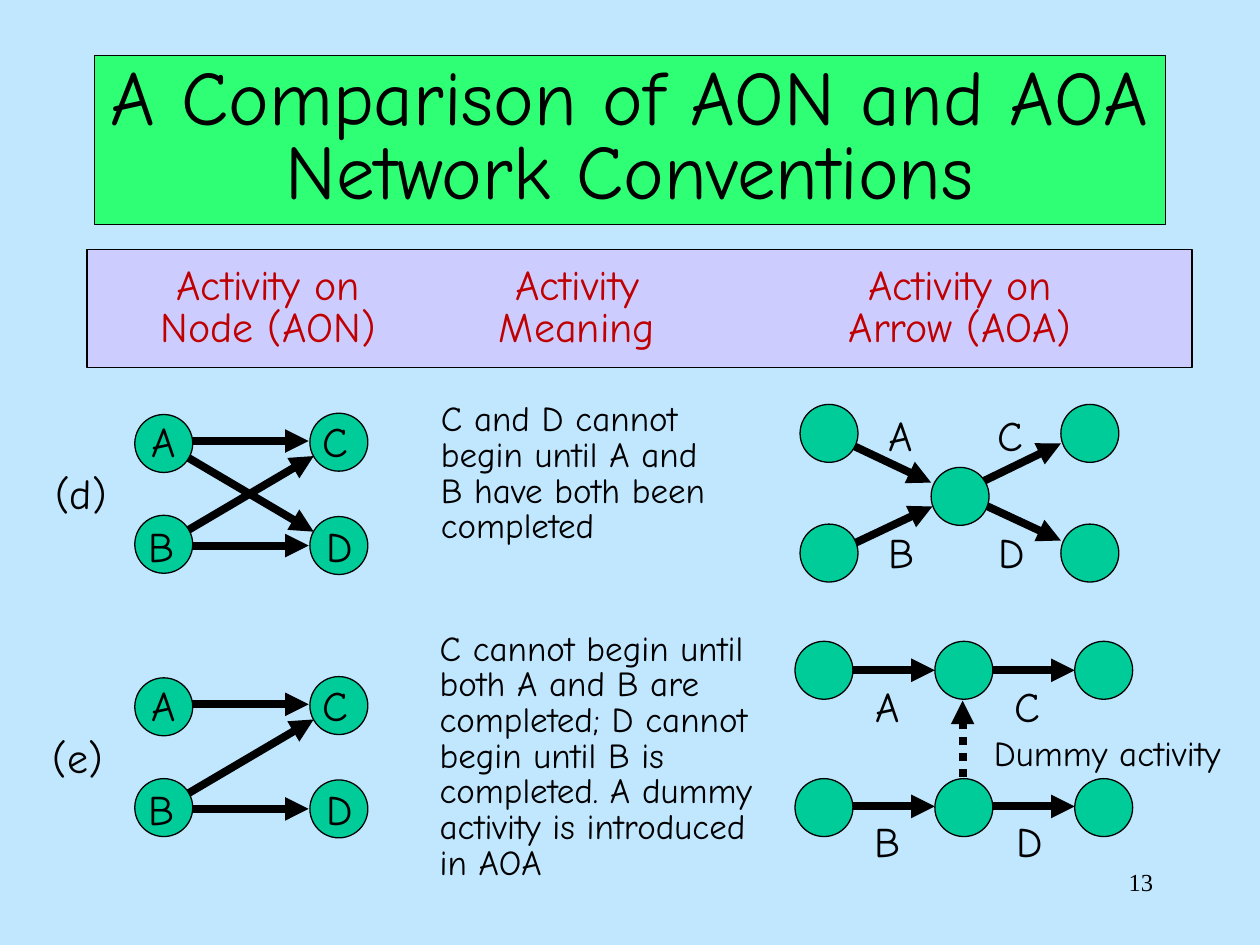
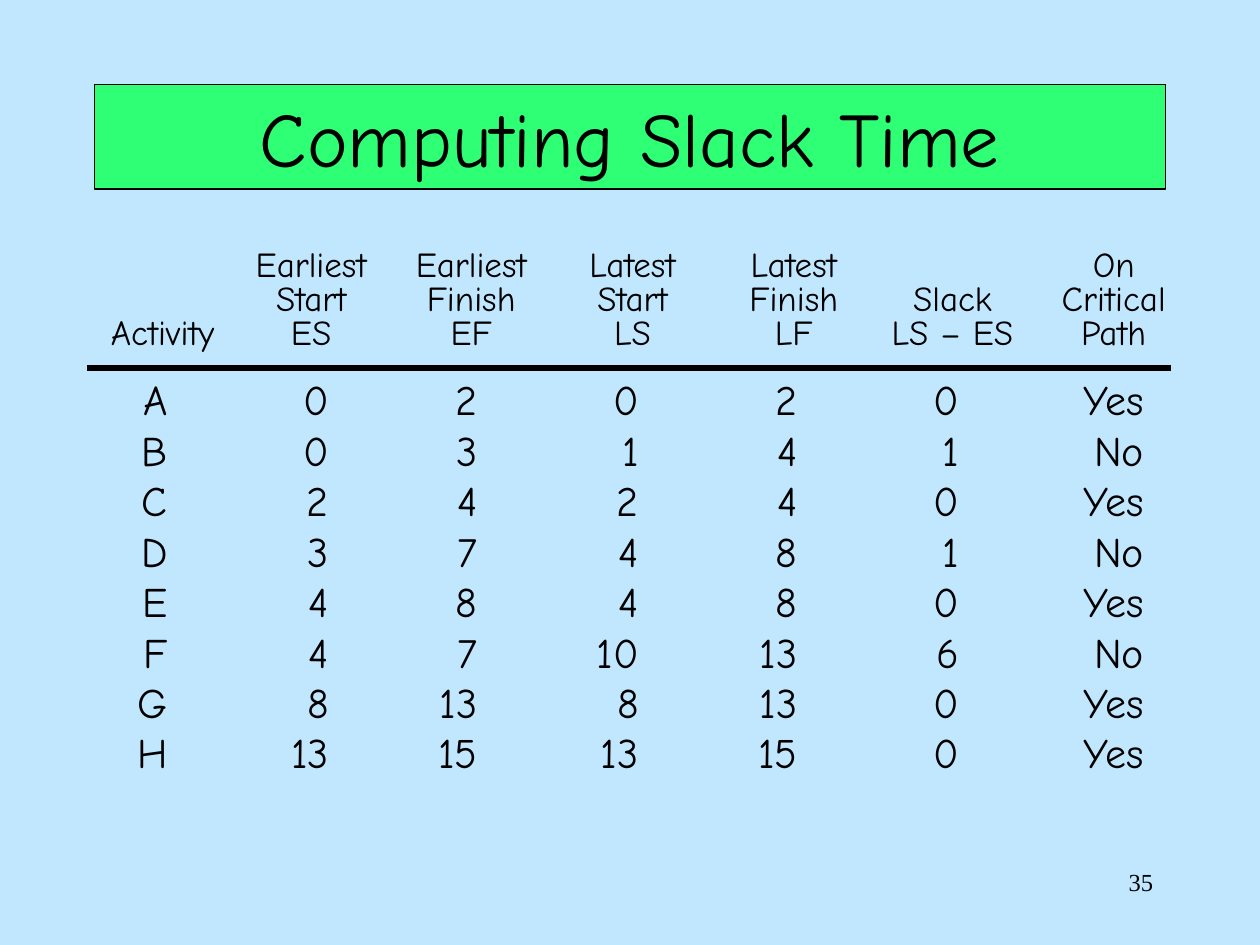
from dataclasses import dataclass

from lxml.etree import SubElement
from pptx import Presentation
from pptx.dml.color import RGBColor
from pptx.enum.dml import MSO_LINE
from pptx.enum.shapes import MSO_CONNECTOR, MSO_SHAPE
from pptx.enum.text import MSO_ANCHOR, MSO_AUTO_SIZE, PP_ALIGN
from pptx.oxml.ns import qn
from pptx.util import Pt

PX = 9144


@dataclass(frozen=True)
class Theme:
    sky: RGBColor = RGBColor(0xC1, 0xE7, 0xFF)
    green: RGBColor = RGBColor(0x2F, 0xFF, 0x74)
    teal: RGBColor = RGBColor(0x00, 0xCC, 0x99)
    lilac: RGBColor = RGBColor(0xCC, 0xCC, 0xFF)
    red: RGBColor = RGBColor(0xC0, 0x00, 0x00)
    black: RGBColor = RGBColor(0x00, 0x00, 0x00)
    font: str = "Comic Neue"
    serif: str = "Times New Roman"
    head: int = 44
    large: int = 24
    small: int = 20
    page: int = 14
    thin: float = 0.75
    rule: float = 3
    arrow: float = 4.5


theme = Theme()


def write(frame, lines, size, color=theme.black, font=theme.font,
          align=PP_ALIGN.LEFT, space=None):
    for i, line in enumerate(lines):
        para = frame.paragraphs[0] if i == 0 else frame.add_paragraph()
        para.alignment = align
        para.line_spacing = space
        run = para.add_run()
        run.text = line
        run.font.name = font
        run.font.size = Pt(size)
        run.font.color.rgb = color


def stroke(slide, ends, width, tip=False):
    line = slide.shapes.add_connector(MSO_CONNECTOR.STRAIGHT, *[v * PX for v in ends])
    line.line.color.rgb = theme.black
    line.line.width = Pt(width)
    props = line._element.spPr
    SubElement(props, qn("a:effectLst"))
    if tip:
        SubElement(props.find(qn("a:ln")), qn("a:tailEnd"), type="triangle")
    return line


deck = Presentation()
deck.slide_width, deck.slide_height = 1000 * PX, 750 * PX
back = deck.slide_master.background.fill
back.solid()
back.fore_color.rgb = theme.sky

slides = []
for name, top, high, space, page in (
    ("A Comparison of AON and AOA Network Conventions", 44, 134, 0.8, "13"),
    ("Computing Slack Time", 67, 83, None, "35"),
):
    slide = deck.slides.add_slide(deck.slide_layouts[5])
    title = slide.shapes.title
    title.left, title.top, title.width, title.height = 75 * PX, top * PX, 850 * PX, high * PX
    title.fill.solid()
    title.fill.fore_color.rgb = theme.green
    title.line.color.rgb = theme.black
    title.line.width = Pt(theme.thin)
    title.text_frame.auto_size = MSO_AUTO_SIZE.NONE
    title.text_frame.vertical_anchor = MSO_ANCHOR.MIDDLE
    write(title.text_frame, [name], theme.head, align=PP_ALIGN.CENTER, space=space)
    foot = slide.shapes.add_textbox(717 * PX, 683 * PX, 208 * PX, 50 * PX)
    foot.text_frame.word_wrap = True
    write(foot.text_frame, [page], theme.page, font=theme.serif, align=PP_ALIGN.RIGHT)
    slides.append(slide)
nets, slack = slides

band = nets.shapes.add_shape(MSO_SHAPE.RECTANGLE, 69 * PX, 198 * PX, 877 * PX, 94 * PX)
band.shadow.inherit = False
band.fill.solid()
band.fill.fore_color.rgb = theme.lilac
band.line.color.rgb = theme.black
band.line.width = Pt(theme.thin)
frame = band.text_frame
frame.margin_left = frame.margin_right = 26 * PX
frame.margin_top = frame.margin_bottom = 13 * PX
frame.vertical_anchor = MSO_ANCHOR.TOP
write(frame, ["\tActivity on\tActivity\tActivity on", "\tNode (AON)\tMeaning\tArrow (AOA)"],
      theme.large, theme.red, space=0.85)
for para in frame.paragraphs:
    tabs = SubElement(para._p.get_or_add_pPr(), qn("a:tabLst"))
    for stop in (118, 363, 667):
        SubElement(tabs, qn("a:tab"), pos=str(stop * PX), algn="ctr")

lines = [
    (137, 356, 249, 422),
    (769, 395, 842, 429), (770, 387, 842, 352),
    (665, 348, 739, 383), (668, 436, 740, 402),
]
nodes = [(739, 371)]
nodes += [(x, y) for x in (635, 842) for y in (321, 416)]
nodes += [(x, y) for x in (631, 742, 853) for y in (509, 618)]
marks = [
    ("(d)", 34, 366, 61), ("(e)", 32, 576, 60),
    ("A", 695, 320, 40), ("B", 695, 413, 40), ("C", 782, 320, 40), ("D", 783, 413, 40),
    ("A", 685, 535, 40), ("B", 684, 642, 40), ("C", 795, 535, 40), ("D", 797, 642, 40),
]
for drop in (0, 209):
    lines += [(137, 428 + drop, 249, 362 + drop),
              (145, 350 + drop, 245, 350 + drop),
              (147, 433 + drop, 245, 433 + drop)]
    nodes += [(107, 329 + drop), (107, 409 + drop), (246, 328 + drop), (246, 410 + drop)]
    marks += [("A", 110, 325 + drop, 39), ("B", 108, 408 + drop, 40),
              ("C", 246, 325 + drop, 40), ("D", 249, 408 + drop, 41)]
for y in (532, 640):
    lines += [(x, y, x + 72, y) for x in (670, 781)]

for ends in lines:
    stroke(nets, ends, theme.arrow, True)
dummy = stroke(nets, (764, 629, 764, 556), theme.arrow, True)
dummy.line.dash_style = MSO_LINE.ROUND_DOT

for x, y in nodes:
    node = nets.shapes.add_shape(MSO_SHAPE.OVAL, x * PX, y * PX, 46 * PX, 46 * PX)
    node.shadow.inherit = False
    node.fill.solid()
    node.fill.fore_color.rgb = theme.teal
    node.line.color.rgb = theme.black
    node.line.width = Pt(theme.thin)

texts = [(mark, x, y, wide, 50, theme.large, False, None) for mark, x, y, wide in marks]
texts += [
    ("Dummy activity", 779, 576, 200, 44, theme.small, False, None),
    ("C and D cannot begin until A and B have both been completed",
     340, 315, 231, 124, theme.small, True, 0.85),
    ("C cannot begin until both A and B are completed; D cannot begin until B is "
     "completed. A dummy activity is introduced in AOA",
     339, 497, 269, 209, theme.small, True, 0.85),
]
for words, x, y, wide, high, size, wrap, space in texts:
    box = nets.shapes.add_textbox(x * PX, y * PX, wide * PX, high * PX)
    box.text_frame.word_wrap = wrap
    box.text_frame.auto_size = MSO_AUTO_SIZE.SHAPE_TO_FIT_TEXT
    write(box.text_frame, [words], size, space=space)

heads = [
    ["Activity"], ["Earliest", "Start", "ES"], ["Earliest", "Finish", "EF"],
    ["Latest", "Start", "LS"], ["Latest", "Finish", "LF"],
    ["Slack", "LS – ES"], ["On", "Critical", "Path"],
]
rows = [
    ("A", 0, 2, 0, 2, 0, "Yes"),
    ("B", 0, 3, 1, 4, 1, "No"),
    ("C", 2, 4, 2, 4, 0, "Yes"),
    ("D", 3, 7, 4, 8, 1, "No"),
    ("E", 4, 8, 4, 8, 0, "Yes"),
    ("F", 4, 7, 10, 13, 6, "No"),
    ("G", 8, 13, 8, 13, 0, "Yes"),
    ("H", 13, 15, 13, 15, 0, "Yes"),
]
edges = [69, 189, 305, 443, 561, 699, 813, 955]
rights = [133, 261, 379, 507, 633, 761, 908]

grid = slack.shapes.add_table(len(rows) + 1, len(heads), edges[0] * PX, 190 * PX,
                              (edges[-1] - edges[0]) * PX, 430 * PX).table
grid.first_row = grid.horz_banding = False
grid._tbl.tblPr.find(qn("a:tableStyleId")).text = "{2D5ABB26-0587-4C30-8999-92F81FD0307C}"
for r, row in enumerate([heads] + rows):
    grid.rows[r].height = (40 if r else 110) * PX
    for c, value in enumerate(row):
        grid.columns[c].width = (edges[c + 1] - edges[c]) * PX
        cell = grid.cell(r, c)
        cell.fill.background()
        cell.margin_left = cell.margin_top = 0
        cell.margin_right = (edges[c + 1] - rights[c]) * PX if r else 0
        cell.margin_bottom = 0 if r else 20 * PX
        cell.vertical_anchor = MSO_ANCHOR.TOP if r else MSO_ANCHOR.BOTTOM
        if r:
            write(cell.text_frame, [str(value)], theme.large, align=PP_ALIGN.RIGHT)
        else:
            write(cell.text_frame, value, theme.small, align=PP_ALIGN.CENTER, space=0.85)
stroke(slack, (69, 292, 929, 292), theme.rule)

deck.save("out.pptx")
